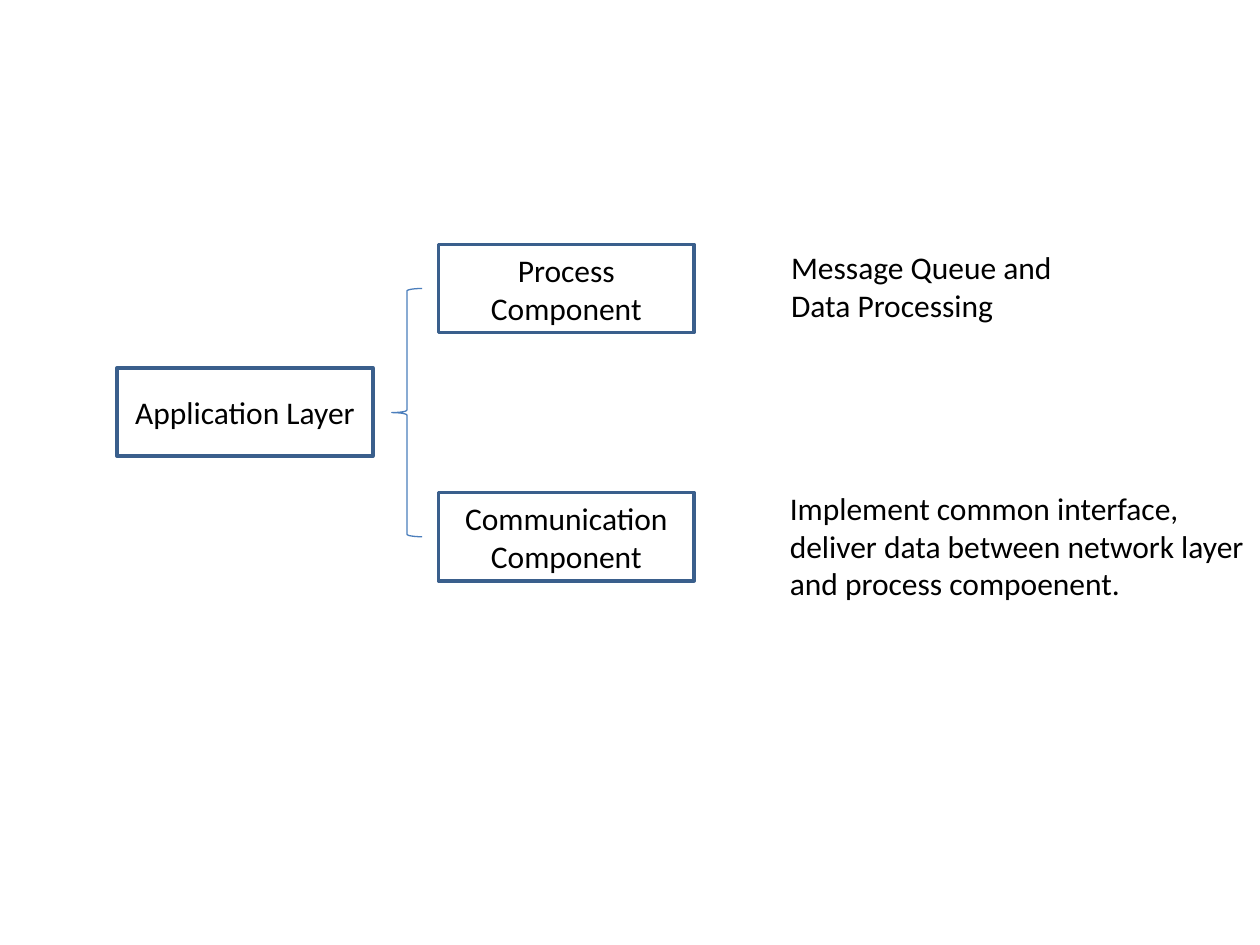
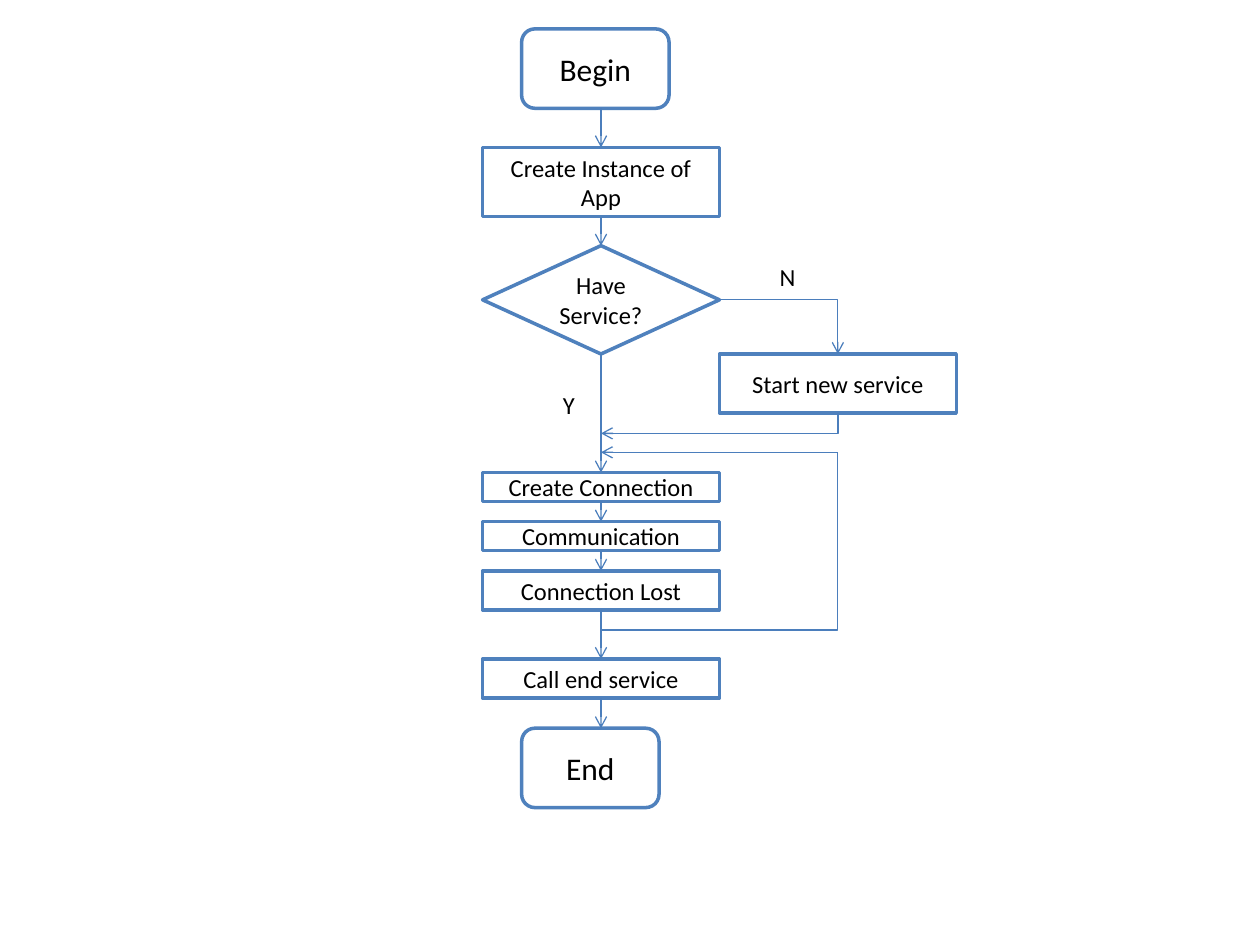
from dataclasses import dataclass
from itertools import pairwise

from lxml import etree
from pptx import Presentation
from pptx.dml.color import RGBColor
from pptx.enum.shapes import MSO_CONNECTOR as CONN, MSO_SHAPE as SHAPE
from pptx.enum.text import MSO_ANCHOR, MSO_AUTO_SIZE, PP_ALIGN
from pptx.oxml.ns import qn
from pptx.util import Inches, Pt


@dataclass(frozen=True)
class Theme:
    font: str = "Calibri"
    text: RGBColor = RGBColor(0, 0, 0)
    fill: RGBColor = RGBColor(255, 255, 255)
    layer_edge: RGBColor = RGBColor.from_string("3A5F8C")
    flow_edge: RGBColor = RGBColor.from_string("4F81BD")
    link: RGBColor = RGBColor.from_string("4B7EBC")
    large: int = 18
    small: int = 14
    edge_width: float = 2
    link_width: float = 0.75


THEME = Theme()


def inches(*values):
    return [Inches(v) for v in values]


def style_text(tf, size, align):
    for p in tf.paragraphs:
        p.alignment = align
        for r in p.runs:
            r.font.name = THEME.font
            r.font.size = Pt(size)
            r.font.color.rgb = THEME.text


def add_box(s, kind, x, y, w, h, text, size, edge):
    sp = s.shapes.add_shape(kind, *inches(x, y, w, h))
    sp.shadow.inherit = False
    sp.fill.solid()
    sp.fill.fore_color.rgb = THEME.fill
    sp.line.color.rgb = edge
    sp.line.width = Pt(THEME.edge_width)
    tf = sp.text_frame
    tf.text = text
    tf.word_wrap = True
    tf.vertical_anchor = MSO_ANCHOR.MIDDLE
    style_text(tf, size, PP_ALIGN.CENTER)


def add_label(s, x, y, w, h, text, size):
    tf = s.shapes.add_textbox(*inches(x, y, w, h)).text_frame
    tf.text = text
    tf.word_wrap = False
    tf.auto_size = MSO_AUTO_SIZE.SHAPE_TO_FIT_TEXT
    style_text(tf, size, PP_ALIGN.LEFT)


def add_link(s, x1, y1, x2, y2, kind=CONN.STRAIGHT, arrow=True):
    link = s.shapes.add_connector(kind, *inches(x1, y1, x2, y2))
    link.line.color.rgb = THEME.link
    link.line.width = Pt(THEME.link_width)
    if arrow:
        etree.SubElement(link.line._get_or_add_ln(), qn("a:tailEnd"), type="arrow")
    etree.SubElement(link._element.spPr, qn("a:effectLst"))
    return link


def add_corner(s, x1, y1, x2, y2, rotation=0):
    link = add_link(s, x1, y1, x2, y2, CONN.ELBOW)
    sp_pr = link._element.spPr
    sp_pr.find(qn("a:prstGeom")).set("prst", "bentConnector2")
    sp_pr.find(qn("a:xfrm")).set("rot", str(rotation * 60000))


def add_side_bend(s, x1, y1, x2, y2):
    link = add_link(s, x1, y1, x2, y2, CONN.ELBOW, arrow=False)
    geom = link._element.spPr.find(qn("a:prstGeom"))
    etree.SubElement(geom.get_or_add_avLst(), qn("a:gd"), name="adj1", fmla="val 0")


def layer_diagram(s, left, top):
    w, h = 2.03, 0.7
    boxes = [
        (0, 1, "Application Layer"),
        (2.55, 0.02, "Process Component"),
        (2.55, 1.99, "Communication Component"),
    ]
    for x, y, text in boxes:
        add_box(s, SHAPE.RECTANGLE, left + x, top + y, w, h, text,
                THEME.large, THEME.layer_edge)

    brace = s.shapes.add_shape(SHAPE.LEFT_BRACE, *inches(left + 2.18, top + 0.37, 0.24, 1.97))
    brace.shadow.inherit = False
    brace.fill.background()
    brace.line.color.rgb = THEME.link
    brace.line.width = Pt(THEME.link_width)

    add_label(s, left + 5.25, top, 2.35, 0.71,
              "Message Queue and\nData Processing", THEME.large)
    add_label(s, left + 5.24, top + 1.91, 3.91, 1.01,
              "Implement common interface,\ndeliver data between network layer\n"
              "and process compoenent.", THEME.large)


def service_flow(s, left, top):
    w, axis = 1.88, left + 0.94
    side = axis + w
    terminal, step = SHAPE.FLOWCHART_ALTERNATE_PROCESS, SHAPE.RECTANGLE
    steps = [
        (terminal, 0.31, 0, 1.17, 0.63, "Begin", THEME.large),
        (step, 0, 0.94, w, 0.55, "Create Instance of App", THEME.small),
        (SHAPE.FLOWCHART_DECISION, 0, 1.72, w, 0.86, "Have Service?", THEME.small),
        (step, 0, 3.52, w, 0.23, "Create Connection", THEME.small),
        (step, 0, 3.91, w, 0.23, "Communication", THEME.small),
        (step, 0, 4.3, w, 0.31, "Connection Lost", THEME.small),
        (step, 0, 5, w, 0.31, "Call end service", THEME.small),
        (terminal, 0.31, 5.55, 1.09, 0.63, "End", THEME.large),
    ]
    start_service = (step, w, 2.58, w, 0.47, "Start new service", THEME.small)
    for kind, x, y, width, height, text, size in [*steps, start_service]:
        add_box(s, kind, left + x, top + y, width, height, text, size, THEME.flow_edge)
    for (_, _, y, _, height, *_), (_, _, next_y, *_) in pairwise(steps):
        add_link(s, axis, top + y + height, axis, top + next_y)

    add_corner(s, left + w, top + 2.15, side, top + 2.58)
    drop, mid_y = 0.16, top + 3.13
    mid_x = (axis + side) / 2
    add_corner(s, mid_x - drop / 2, mid_y - w / 2, mid_x + drop / 2, mid_y + w / 2, 90)
    add_link(s, side, top + 3.36, axis, top + 3.36)
    add_side_bend(s, side, top + 3.36, axis, top + 4.77)

    add_label(s, left + 2.26, top + 1.8, 0.33, 0.34, "N", THEME.small)
    add_label(s, left + 0.54, top + 2.82, 0.3, 0.34, "Y", THEME.small)


def main():
    prs = Presentation()
    prs.slide_width, prs.slide_height = inches(10, 7.5)
    blank = prs.slide_layouts[6]
    layer_diagram(prs.slides.add_slide(blank), 0.93, 1.92)
    service_flow(prs.slides.add_slide(blank), 3.83, 0.23)
    prs.save("out.pptx")


if __name__ == "__main__":
    main()
